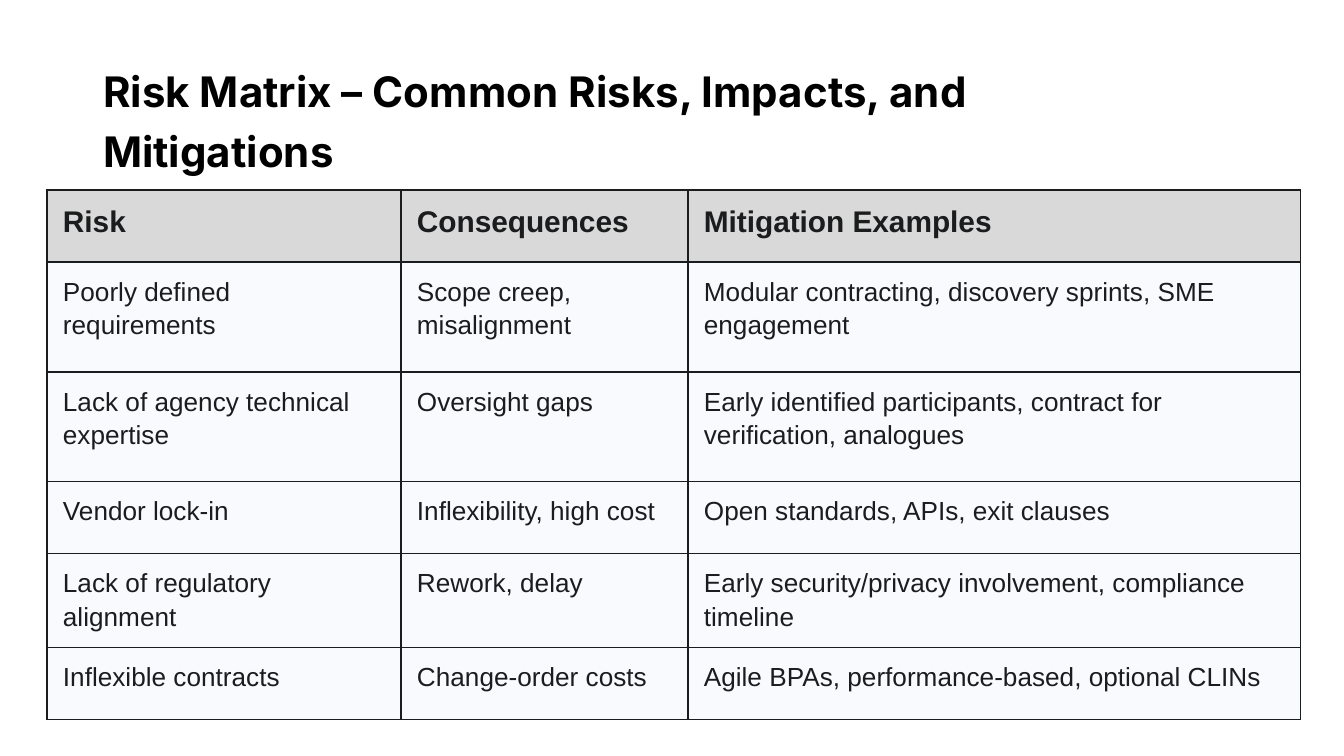
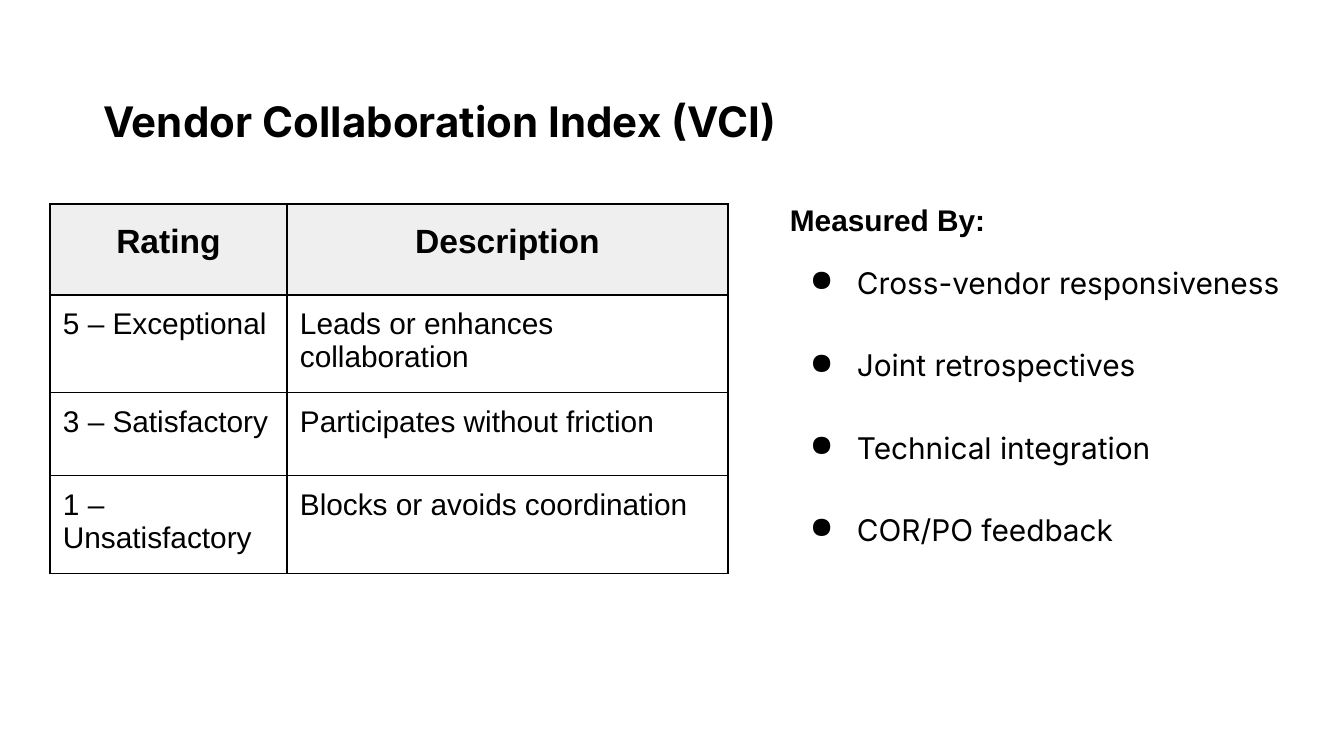
from lxml.etree import SubElement
from pptx import Presentation
from pptx.dml.color import RGBColor
from pptx.enum.text import MSO_ANCHOR, MSO_AUTO_SIZE, PP_ALIGN
from pptx.oxml.ns import qn
from pptx.util import Emu, Pt

BLACK = RGBColor(0x00, 0x00, 0x00)
INK = RGBColor(0x1B, 0x1C, 0x1D)
HEADER_GREY = RGBColor(0xD9, 0xD9, 0xD9)
PALE_GREY = RGBColor(0xEF, 0xEF, 0xEF)
PALE_BLUE = RGBColor(0xF8, 0xFA, 0xFD)

SLIDE_SIZE = (1344, 756)
TITLE_LEFT, TITLE_TOP, TITLE_HEIGHT = 90, 90, 51
TITLE_FORMAT = dict(size=22.5, name="Inter", color=BLACK, bold=True)

RISK_MATRIX = dict(
    title="Risk Matrix – Common Risks, Impacts, and Mitigations",
    title_width=1111,
    rows=[
        ("Risk", "Consequences", "Mitigation Examples"),
        ("Poorly defined requirements", "Scope creep, misalignment",
         "Modular contracting, discovery sprints, SME engagement"),
        ("Lack of agency technical expertise", "Oversight gaps",
         "Early identified participants, contract for verification, analogues"),
        ("Vendor lock-in", "Inflexibility, high cost", "Open standards, APIs, exit clauses"),
        ("Lack of regulatory alignment", "Rework, delay",
         "Early security/privacy involvement, compliance timeline"),
        ("Inflexible contracts", "Change-order costs",
         "Agile BPAs, performance-based, optional CLINs"),
    ],
    corner=(47, 190),
    widths=(354, 287, 613),
    heights=(72, 110, 110, 72, 90, 72),
    margins=(16, 11),
    border=INK,
    header=dict(fill=HEADER_GREY, align=PP_ALIGN.LEFT, spacing=1.15,
                font=dict(size=16, name="Arial", color=INK, bold=True)),
    body=dict(fill=PALE_BLUE, align=PP_ALIGN.LEFT, spacing=1.15,
              font=dict(size=14, name="Arial", color=INK, bold=False)),
)

VENDOR_INDEX = dict(
    title="Vendor Collaboration Index (VCI)",
    title_width=851,
    rows=[
        ("Rating", "Description"),
        ("5 – Exceptional", "Leads or enhances collaboration"),
        ("3 – Satisfactory", "Participates without friction"),
        ("1 – Unsatisfactory", "Blocks or avoids coordination"),
    ],
    corner=(50, 204),
    widths=(237, 441),
    heights=(91, 83, 83, 83),
    margins=(13, 13),
    border=BLACK,
    header=dict(fill=PALE_GREY, align=PP_ALIGN.CENTER, spacing=1.15,
                font=dict(size=18, name="Arial", color=BLACK, bold=True)),
    body=dict(fill=None, align=PP_ALIGN.LEFT, spacing=1.0,
              font=dict(size=16, name="Arial", color=BLACK, bold=False)),
)

MEASURES_HEADING = "Measured By:"
MEASURES = ["Cross-vendor responsiveness", "Joint retrospectives",
            "Technical integration", "COR/PO feedback"]
MEASURES_BOX = (777, 183, 550, 406)
MEASURES_HEADING_FORMAT = dict(size=16, name="Arial", color=BLACK, bold=True)
MEASURE_FORMAT = dict(size=16, name="Inter", color=BLACK, bold=False)
BULLET_INDENT, BULLET_HANG = 67, 47
FIRST_GAP, MEASURE_GAP = 12, 22


def px(length):
    return Emu(round(length * 914400 / 134.4))


def write(paragraph, text, font_format, spacing):
    run = paragraph.add_run()
    run.text = text
    paragraph.line_spacing = spacing
    for key, value in font_format.items():
        if key == "color":
            run.font.color.rgb = value
        else:
            setattr(run.font, key, Pt(value) if key == "size" else value)


def add_text_frame(slide, box, margins):
    frame = slide.shapes.add_textbox(*map(px, box)).text_frame
    frame.word_wrap = True
    set_margins(frame, margins)
    return frame


def set_margins(holder, margins):
    across, down = map(px, margins)
    for side, value in dict(left=across, right=across, top=down, bottom=down).items():
        setattr(holder, f"margin_{side}", value)


def add_title(slide, text, width):
    frame = add_text_frame(slide, (TITLE_LEFT, TITLE_TOP, width, TITLE_HEIGHT), (13, 7))
    frame.vertical_anchor = MSO_ANCHOR.MIDDLE
    write(frame.paragraphs[0], text, TITLE_FORMAT, 1.2)


def add_color(parent, color):
    SubElement(parent, qn("a:srgbClr"), val=str(color))


def add_borders(cell, color):
    properties = cell._tc.get_or_add_tcPr()
    for side in "LRTB":
        line = SubElement(properties, qn(f"a:ln{side}"), w=str(Pt(0.75)))
        add_color(SubElement(line, qn("a:solidFill")), color)


def add_grid(slide, content):
    """Add the table of a slide, its first row styled as the header."""
    rows, widths, heights = (content[key] for key in ("rows", "widths", "heights"))
    box = (*content["corner"], sum(widths), sum(heights))
    table = slide.shapes.add_table(len(rows), len(widths), *map(px, box)).table
    table.horz_banding = False
    for column, width in zip(table.columns, widths):
        column.width = px(width)
    for row, height, texts in zip(table.rows, heights, rows):
        row.height = px(height)
        style = content["header" if texts is rows[0] else "body"]
        for cell, text in zip(row.cells, texts):
            set_margins(cell, content["margins"])
            add_borders(cell, content["border"])
            if style["fill"] is None:
                cell.fill.background()
            else:
                cell.fill.solid()
                cell.fill.fore_color.rgb = style["fill"]
            paragraph = cell.text_frame.paragraphs[0]
            paragraph.alignment = style["align"]
            write(paragraph, text, style["font"], style["spacing"])


def add_bullet(paragraph):
    properties = paragraph._p.get_or_add_pPr()
    properties.set("marL", str(px(BULLET_INDENT)))
    properties.set("indent", str(-px(BULLET_HANG)))
    add_color(SubElement(properties, qn("a:buClr")), BLACK)
    SubElement(properties, qn("a:buChar"), char="●")


def add_measures(slide):
    frame = add_text_frame(slide, MEASURES_BOX, (13, 13))
    frame.auto_size = MSO_AUTO_SIZE.SHAPE_TO_FIT_TEXT
    write(frame.paragraphs[0], MEASURES_HEADING, MEASURES_HEADING_FORMAT, 1.15)
    for index, measure in enumerate(MEASURES):
        paragraph = frame.add_paragraph()
        add_bullet(paragraph)
        paragraph.space_before = Pt(MEASURE_GAP if index else FIRST_GAP)
        write(paragraph, measure, MEASURE_FORMAT, 1.15)


def main():
    deck = Presentation()
    deck.slide_width, deck.slide_height = map(px, SLIDE_SIZE)
    for content in (RISK_MATRIX, VENDOR_INDEX):
        slide = deck.slides.add_slide(deck.slide_layouts[6])
        add_title(slide, content["title"], content["title_width"])
        add_grid(slide, content)
        if content is VENDOR_INDEX:
            add_measures(slide)
    deck.save("out.pptx")


if __name__ == "__main__":
    main()
